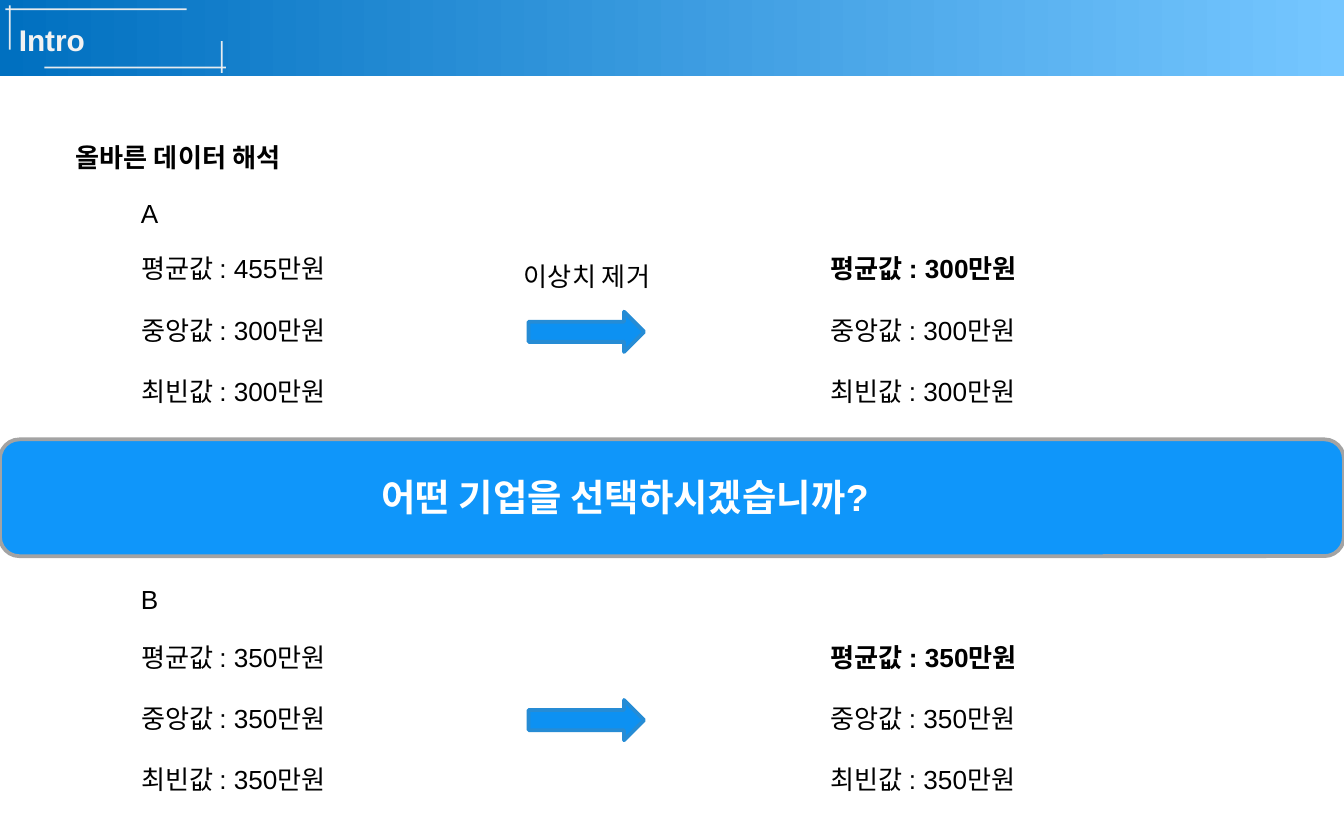
from lxml import etree
from pptx import Presentation
from pptx.dml.color import RGBColor
from pptx.enum.shapes import MSO_CONNECTOR, MSO_SHAPE
from pptx.enum.text import MSO_ANCHOR, MSO_AUTO_SIZE, PP_ALIGN
from pptx.oxml.ns import qn
from pptx.util import Pt

STRAIGHT = MSO_CONNECTOR.STRAIGHT
RECT = MSO_SHAPE.RECTANGLE
ROUND = MSO_SHAPE.ROUNDED_RECTANGLE
ARROW = MSO_SHAPE.RIGHT_ARROW
TOP = MSO_ANCHOR.TOP
FIXED = MSO_AUTO_SIZE.NONE
LEFT = PP_ALIGN.LEFT
JUSTIFY = PP_ALIGN.JUSTIFY

BLACK = RGBColor(0x00, 0x00, 0x00)
WHITE = RGBColor(0xFF, 0xFF, 0xFF)
PALE = RGBColor(0xF2, 0xF2, 0xF2)
NAVY = RGBColor(0x00, 0x70, 0xC0)
SKY = RGBColor(0x75, 0xC6, 0xFF)
BLUE = RGBColor(0x0D, 0x91, 0xF2)
EDGE = RGBColor(0x26, 0x8C, 0xD5)
BANNER = RGBColor(0x0F, 0x96, 0xFA)
GREY = RGBColor(0xA3, 0xA3, 0xA3)

FRAME = {"auto_size": FIXED, "vertical_anchor": TOP,
         "margin_left": Pt(7.2), "margin_right": Pt(7.2),
         "margin_top": Pt(3.6), "margin_bottom": Pt(3.6)}
PARA = {"alignment": LEFT, "line_spacing": 1.0,
        "space_before": Pt(0), "space_after": Pt(16)}


def write(box, place, lines, size=14, color=BLACK, bold=0, wrap=True):
    spots = zip(("left", "top", "width", "height"), place)
    for key, val in spots:
        setattr(box, key, Pt(val))
    frame = box.text_frame
    frame.text = "\n".join(lines)
    for key, val in {**FRAME, "word_wrap": wrap}.items():
        setattr(frame, key, val)
    for i, para in enumerate(frame.paragraphs):
        for key, val in PARA.items():
            setattr(para, key, val)
        font = para.runs[0].font
        look = {"name": "Arial", "size": Pt(size), "bold": i < bold}
        for key, val in look.items():
            setattr(font, key, val)
        font.color.rgb = color


def block(kind, place, fill, edge):
    shape = slide.shapes.add_shape(kind, *map(Pt, place))
    shape.shadow.inherit = False
    shape.fill.solid()
    shape.fill.fore_color.rgb = fill
    shape.line.color.rgb = edge
    shape.line.width = Pt(2)


deck = Presentation()
deck.slide_width = Pt(720)
deck.slide_height = Pt(450)
slide = deck.slides.add_slide(deck.slide_layouts[4])
shapes = slide.shapes

band = shapes.add_shape(RECT, Pt(0), Pt(0), Pt(720), Pt(41))
band.shadow.inherit = False
band.line.fill.background()
band.fill.gradient()
band.fill.gradient_angle = 0
for stop, color in zip(band.fill.gradient_stops, (NAVY, SKY)):
    stop.color.rgb = color

for ends in ((2.9, 5, 100, 5), (23.8, 36.2, 121, 36.2),
             (118.8, 22, 118.8, 39), (5.2, 2.9, 5.2, 26.6)):
    rule = shapes.add_connector(STRAIGHT, *map(Pt, ends))
    rule.line.color.rgb = PALE
    rule.line.width = Pt(1)
    props = rule.element.spPr
    tint = next(props.iter(qn("a:srgbClr")))
    etree.SubElement(tint, qn("a:alpha"), val="94000")
    etree.SubElement(props, qn("a:effectLst"))

title = shapes.title
write(title, (7.2, 11.5, 107, 19.4), ["Intro"], 16, PALE, 1)
for key, val in {"margin_left": 2.9, "margin_right": 2.9,
                 "margin_top": 0, "margin_bottom": 0}.items():
    setattr(title.text_frame, key, Pt(val))
title.text_frame.paragraphs[0].alignment = JUSTIFY
rule.element.addnext(title.element)

names = ("평균값", "중앙값", "최빈값")
lists = ((1, 68.4, 131.8, (455, 300, 300), 0),
         (2, 68.4, 339.8, (350, 350, 350), 0),
         (3, 437.8, 131.8, (300, 300, 300), 1),
         (4, 437.8, 339.8, (350, 350, 350), 1))
for i, left, top, vals, bold in lists:
    body = slide.placeholders[i]
    lines = [f"{name} : {val}만원" for name, val in zip(names, vals)]
    write(body, (left, top, 184.3, 92.2), lines, bold=bold)
    for para in body.text_frame.paragraphs:
        props = para._p.get_or_add_pPr()
        props.set("marL", "0")
        props.set("indent", "0")
        etree.SubElement(props, qn("a:buNone"))

for top in (167, 375):
    block(ARROW, (283.2, top, 61.9, 21.6), BLUE, EDGE)
block(ROUND, (0, 235.4, 720, 62.6), BANNER, GREY)

labels = (("올바른 데이터 해석", (33.5, 72, 135.4, 24.5), 14, BLACK, 1),
          ("A", (68.4, 102.2, 23.8, 24.5), 14, BLACK, 0),
          ("B", (68.4, 309.2, 23.8, 24.5), 14, BLACK, 0),
          ("이상치 제거", (273.6, 136, 89.3, 24.5), 14, BLACK, 0),
          ("어떤 기업을 선택하시겠습니까?", (197.3, 250.6, 300.2, 31.7),
           20, WHITE, 1))
for text, place, size, color, bold in labels:
    box = shapes.add_textbox(*map(Pt, place))
    write(box, place, [text], size, color, bold, False)

deck.save("out.pptx")
